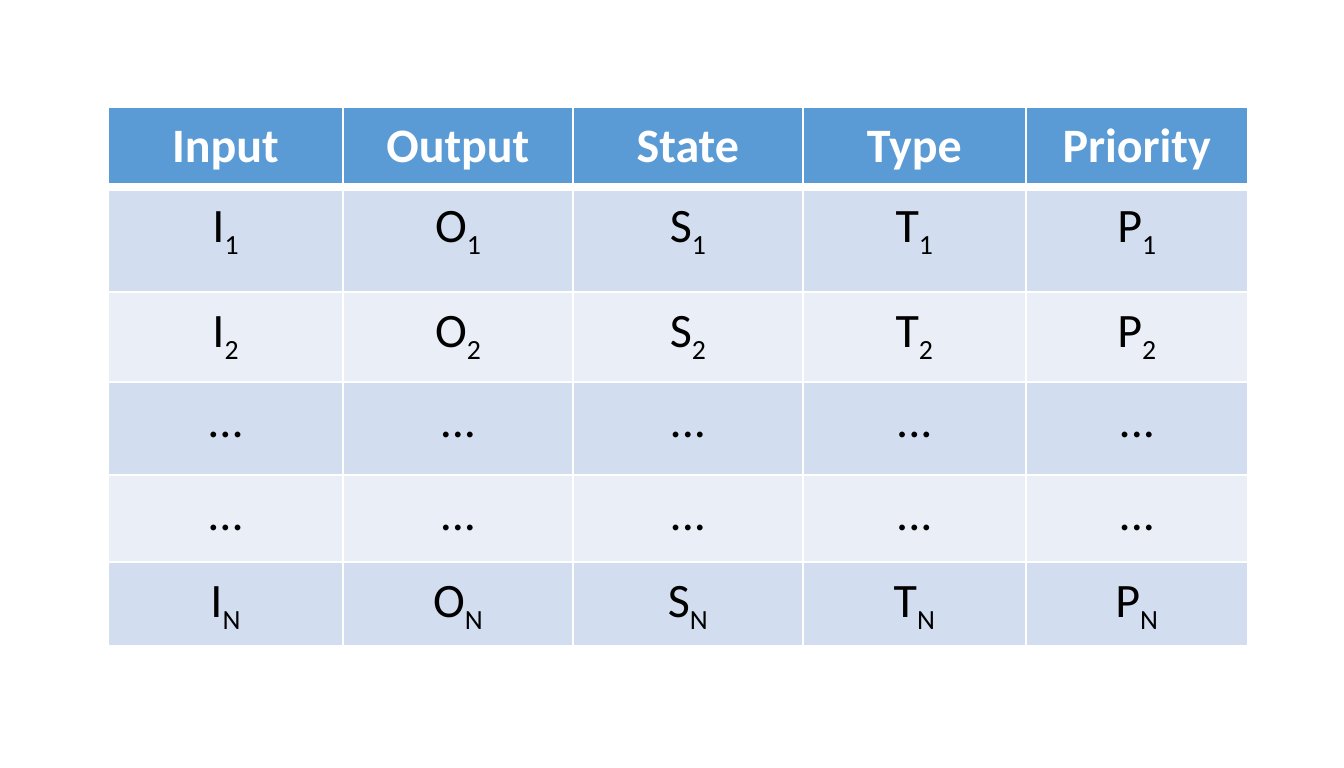
import pptx
import pptx.util
import pptx.dml.color
import pptx.enum.text
import pptx.oxml.ns
import lxml.etree

SCALE = 914400 / 192  # EMU in one px
COLORS = {
    "head": "5B9BD5",
    "odd": "D2DEEF",
    "even": "EAEFF7",
    "line": "FFFFFF",
    "light": "FFFFFF",
    "dark": "000000",
}
HEADS = ["Input", "Output", "State", "Type", "Priority"]
MARKS = ["1", "2", "...", "...", "N"]
WIDTHS = [235, 230, 230, 223, 222]
HEIGHTS = [80, 105, 90, 93, 87, 83]


def px(n):
    return pptx.util.Emu(round(n * SCALE))


def rgb(name):
    return pptx.dml.color.RGBColor.from_string(COLORS[name])


def add_edge(cell, side, width):
    qn = pptx.oxml.ns.qn
    props = cell._tc.get_or_add_tcPr()
    line = lxml.etree.SubElement(props, qn("a:ln" + side), w=str(pptx.util.Pt(width)))
    fill = lxml.etree.SubElement(line, qn("a:solidFill"))
    lxml.etree.SubElement(fill, qn("a:srgbClr"), val=COLORS["line"])


def fill_cell(cell, fill, edges, text, sub="", head=False):
    # Borders come before the fill in the cell properties
    for side, width in zip("LRTB", edges):
        add_edge(cell, side, width)
    cell.fill.solid()
    cell.fill.fore_color.rgb = rgb(fill)

    # Text, with an optional subscript
    para = cell.text_frame.paragraphs[0]
    para.alignment = pptx.enum.text.PP_ALIGN.CENTER
    para.text = text
    if sub:
        mark = para.add_run()
        mark.text = sub
        mark.font._element.set("baseline", "-25000")
    for run in para.runs:
        run.font.name = "Calibri"
        run.font.size = pptx.util.Pt(18)
        run.font.bold = head
        run.font.color.rgb = rgb("light" if head else "dark")


def add_grid(slide, left, top):
    frame = slide.shapes.add_table(
        len(HEIGHTS), len(WIDTHS), px(left), px(top),
        px(sum(WIDTHS)), px(sum(HEIGHTS)))
    table = frame.table
    for col, width in zip(table.columns, WIDTHS):
        col.width = px(width)
    for row, height in zip(table.rows, HEIGHTS):
        row.height = px(height)

    for c, name in enumerate(HEADS):
        # Header row
        fill_cell(table.cell(0, c), "head", (1, 1, 1, 3), name, head=True)
        # Banded body rows
        for r, mark in enumerate(MARKS, 1):
            fill = "odd" if r % 2 else "even"
            edges = (1, 1, 3 if r == 1 else 1, 1)
            text, sub = (mark, "") if mark == "..." else (name[0], mark)
            fill_cell(table.cell(r, c), fill, edges, text, sub)


def main():
    deck = pptx.Presentation()
    deck.slide_width = px(1344)
    deck.slide_height = px(768)
    slide = deck.slides.add_slide(deck.slide_layouts[6])
    add_grid(slide, 108, 107)
    deck.save("out.pptx")


if __name__ == "__main__":
    main()
